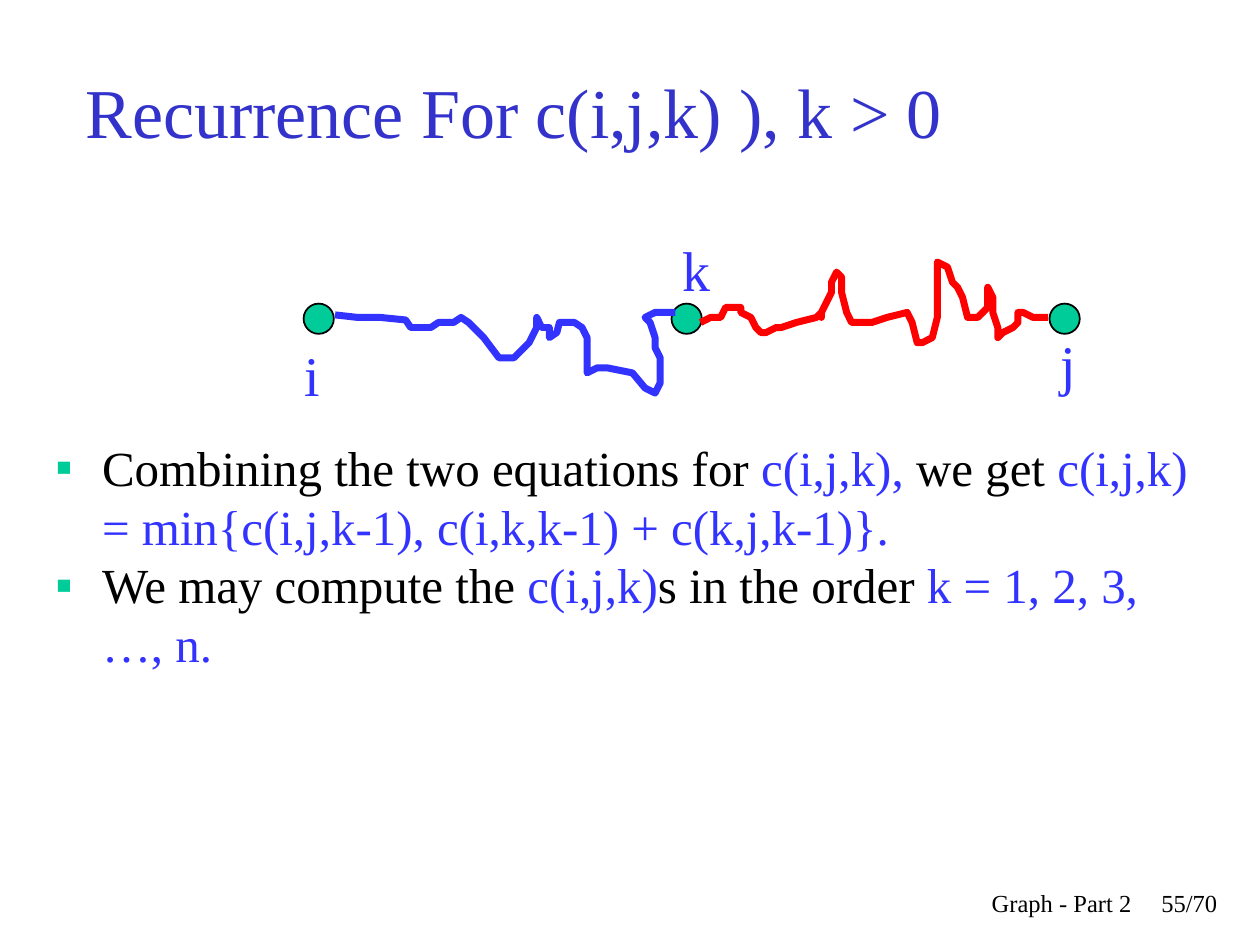
from itertools import accumulate, chain

from lxml import etree
from pptx import Presentation
from pptx.dml.color import RGBColor
from pptx.enum.shapes import MSO_SHAPE
from pptx.enum.text import MSO_ANCHOR, MSO_AUTO_SIZE, PP_ALIGN
from pptx.oxml.ns import qn
from pptx.util import Inches, Pt

OVAL = MSO_SHAPE.OVAL
TOP, MIDDLE = MSO_ANCHOR.TOP, MSO_ANCHOR.MIDDLE
LEFT, RIGHT = PP_ALIGN.LEFT, PP_ALIGN.RIGHT
NO_FIT = MSO_AUTO_SIZE.NONE
FONT = "Times New Roman"
BLACK, BLUE, RED, GREEN, TITLE_BLUE = "000000", "3333FF", "FF0000", "00CC99", "3333CC"

CELL = 0.02
NODE_SIZE, NODE_TOP = 0.24, 2.41
NODE_LEFTS = {"i": 2.41, "k": 5.33, "j": 8.33}
LABEL_SIZE = (0.25, 0.63)
LABEL_SHIFTS = {"i": (-0.09, 0.24), "k": (-0.01, -0.59), "j": (-0.01, 0.16)}
FOOTER_TOP, FOOTER_HEIGHT, FOOTER_RIGHT = 7, 0.5, 9.76
FOOTERS = {"55/70": 0.68, "Graph - Part 2": 3.17}

BULLETS = (
    (("Combining the two equations for ", BLACK), ("c(i,j,k),", BLUE), (" we get ", BLACK),
     ("c(i,j,k) = min{c(i,j,k-1), c(i,k,k-1) + c(k,j,k-1)}.", BLUE)),
    (("We may compute the ", BLACK), ("c(i,j,k)", BLUE), ("s in the order ", BLACK),
     ("k = 1, 2, 3, …, n.", BLUE)),
)

STEPS_I_TO_K = {
    "gentle start": ((9, 1), (9, 0), (10, 1), (2, 3), (8, 1), (3, -2), (6, -1), (3, -1)),
    "valley down": ((3, 1), (6, 6), (6, 8), (4, 1)),
    "valley up": ((2, -1), (4, -3), (2, -2), (2, -4), (1, -3), (0, -3)),
    "ripple": ((2, 3), (3, 1), (0, 3), (3, -2), (1, -3), (3, 0), (3, -1)),
    "drop": ((3, 3), (2, 3), (0, 15)),
    "basin": ((4, -2), (4, -1), (10, 3), (6, 6), (3, 1)),
    "climb": ((2, -3), (0, -11), (-1, -3), (-1, -4), (-2, -6), (-1, -3)),
    "arrival": ((4, -1), (7, 0)),
}
STEPS_K_TO_J = {
    "hump": ((4, -2), (3, -1), (2, -3), (3, -1), (3, 0), (1, 3), (3, 2)),
    "trough": ((2, 3), (2, 3), (3, 0), (3, -2), (3, -1), (6, -1), (8, -2)),
    "first peak up": ((2, -3), (0, 3), (0, -3), (2, -4), (1, -4), (0, -4), (2, -4)),
    "first peak down": ((2, 3), (1, 6), (2, 8), (1, 3), (3, 1)),
    "slope": ((6, 0), (6, -2), (8, -3)),
    "notch": ((2, 4), (1, 8), (3, 1), (4, -3), (1, -7)),
    "high peak up": ((0, -6), (1, -4), (0, 3), (0, -15)),
    "high peak down": ((3, 1), (2, 6), (3, 3), (2, 3), (2, 8), (4, 0)),
    "small peak": ((3, -4), (0, -3), (1, -4), (1, 3), (0, 6), (2, 6), (0, 4)),
    "arrival": ((3, -1), (4, -2), (1, -3), (0, -3), (3, -1), (3, 2), (3, 0), (4, 1)),
}


def color(value):
    """Turn a hex string into a colour."""
    return RGBColor.from_string(value)


def apply(target, values):
    """Set attributes from a dict of format values."""
    for name, value in values.items():
        setattr(target, name, value)


def place(box, left, top, width, height):
    """Set a box's position and size in inches."""
    apply(box, {"left": Inches(left), "top": Inches(top),
                "width": Inches(width), "height": Inches(height)})


def set_frame(box, anchor=TOP):
    """Format a box's text frame and return it."""
    frame = box.text_frame
    apply(frame, {"word_wrap": True, "auto_size": NO_FIT, "vertical_anchor": anchor,
                  "margin_left": Inches(0.1), "margin_right": Inches(0.1),
                  "margin_top": Inches(0.05), "margin_bottom": Inches(0.05)})
    return frame


def write(para, spans, size, align=LEFT):
    """Fill a paragraph with coloured spans."""
    apply(para, {"alignment": align, "line_spacing": 1.0, "space_before": Pt(0)})
    for text, hue in spans:
        span = para.add_run()
        span.text = text
        apply(span.font, {"name": FONT, "size": Pt(size)})
        span.font.color.rgb = color(hue)


def add_bullet(para):
    """Give a paragraph a hanging green square bullet."""
    props = para._p.get_or_add_pPr()
    props.set("marL", str(Inches(0.38)))
    props.set("indent", str(Inches(-0.37)))
    hue = etree.SubElement(props, qn("a:buClr"))
    etree.SubElement(hue, qn("a:srgbClr"), val=GREEN)
    etree.SubElement(props, qn("a:buChar"), char="▪")


def add_label(page, text, area, size, hue, align=LEFT):
    """Add a one-line text box."""
    box = page.shapes.add_textbox(*map(Inches, area))
    write(set_frame(box).paragraphs[0], [(text, hue)], size, align)


def set_line(shape, hue, width):
    """Draw a shape's outline without a shadow."""
    shape.shadow.inherit = False
    shape.line.color.rgb = color(hue)
    shape.line.width = Pt(width)


def add_node(page, name):
    """Add a graph node and its letter."""
    left = NODE_LEFTS[name]
    node = page.shapes.add_shape(OVAL, *map(Inches, (left, NODE_TOP, NODE_SIZE, NODE_SIZE)))
    node.fill.solid()
    node.fill.fore_color.rgb = color(GREEN)
    set_line(node, BLACK, 1)
    across, down = LABEL_SHIFTS[name]
    add_label(page, name, (left + across, NODE_TOP + down, *LABEL_SIZE), 32, BLUE)


def add_path(page, name, rise, sections, hue):
    """Walk grid steps from a node's right side, some rows off its middle."""
    start = ((NODE_LEFTS[name] + NODE_SIZE) / CELL,
             (NODE_TOP + NODE_SIZE / 2) / CELL - rise)
    steps = chain.from_iterable(sections.values())
    points = list(accumulate(steps, lambda spot, step: (spot[0] + step[0], spot[1] + step[1]),
                             initial=start))
    builder = page.shapes.build_freeform(*start, scale=Inches(CELL))
    builder.add_line_segments(points[1:], close=False)
    path = builder.convert_to_shape()
    path.fill.background()
    set_line(path, hue, 4)


def add_footers(page):
    """Set the footers side by side, from the right edge leftwards."""
    right = FOOTER_RIGHT
    for text, width in FOOTERS.items():
        right -= width
        add_label(page, text, (right, FOOTER_TOP, width, FOOTER_HEIGHT), 14, BLACK, RIGHT)


def fill_placeholders(page):
    """Write the title and the bullet list."""
    title, body = page.shapes.title, page.placeholders[1]
    place(title, 0.58, 0.25, 8.5, 1.25)
    write(set_frame(title, MIDDLE).paragraphs[0],
          [("Recurrence For c(i,j,k) ), k > 0", TITLE_BLUE)], 40)
    place(body, 0.33, 3.42, 9.25, 3.08)
    frame = set_frame(body)
    for index, spans in enumerate(BULLETS):
        para = frame.add_paragraph() if index else frame.paragraphs[0]
        add_bullet(para)
        write(para, spans, 28)


def main():
    """Build and save the slide."""
    deck = Presentation()
    deck.slide_width, deck.slide_height = Inches(10), Inches(7.5)
    page = deck.slides.add_slide(deck.slide_layouts[1])
    fill_placeholders(page)
    for name in NODE_LEFTS:
        add_node(page, name)
    add_path(page, "i", 2, STEPS_I_TO_K, BLUE)
    add_path(page, "k", -2, STEPS_K_TO_J, RED)
    add_footers(page)
    deck.save("out.pptx")


if __name__ == "__main__":
    main()
